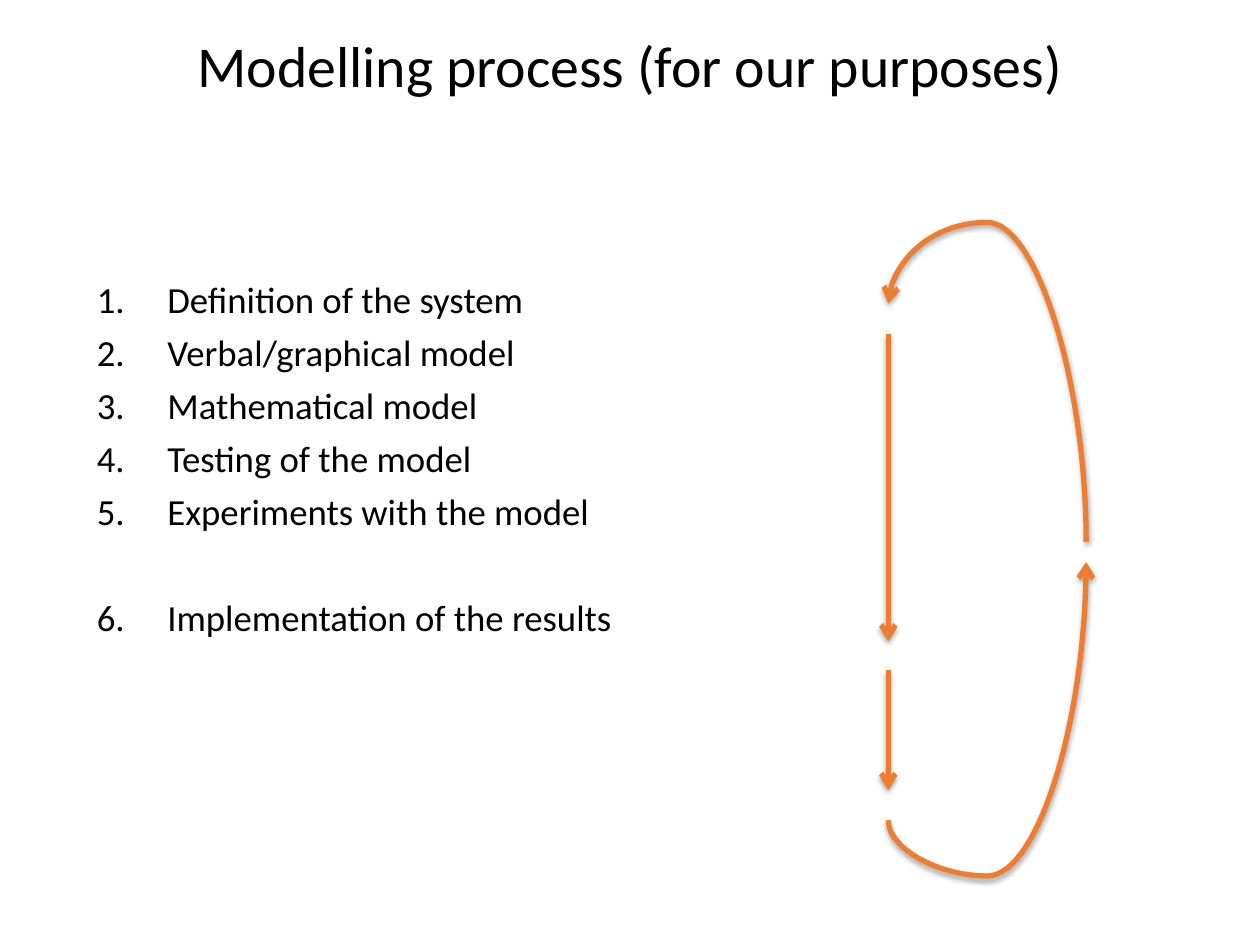
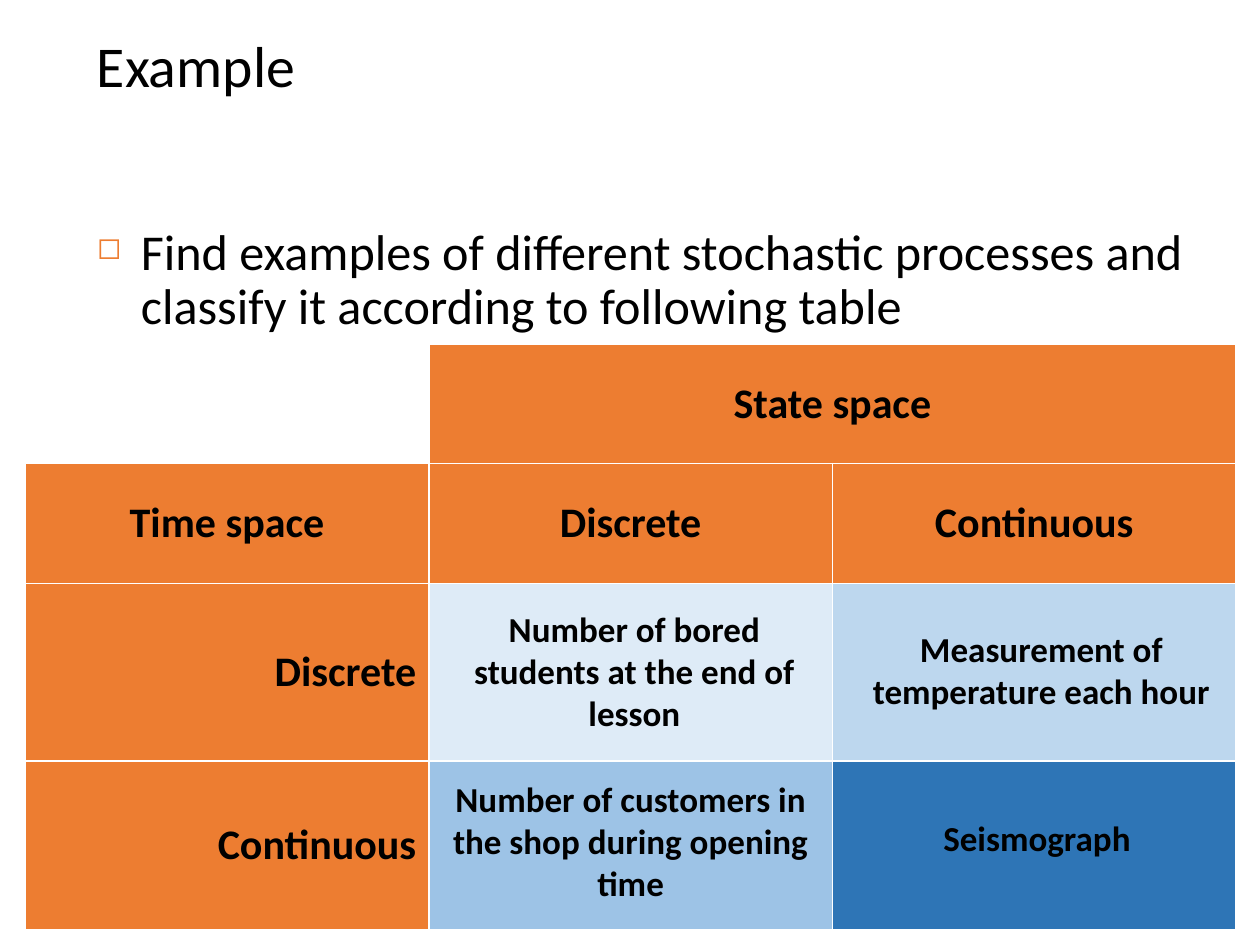
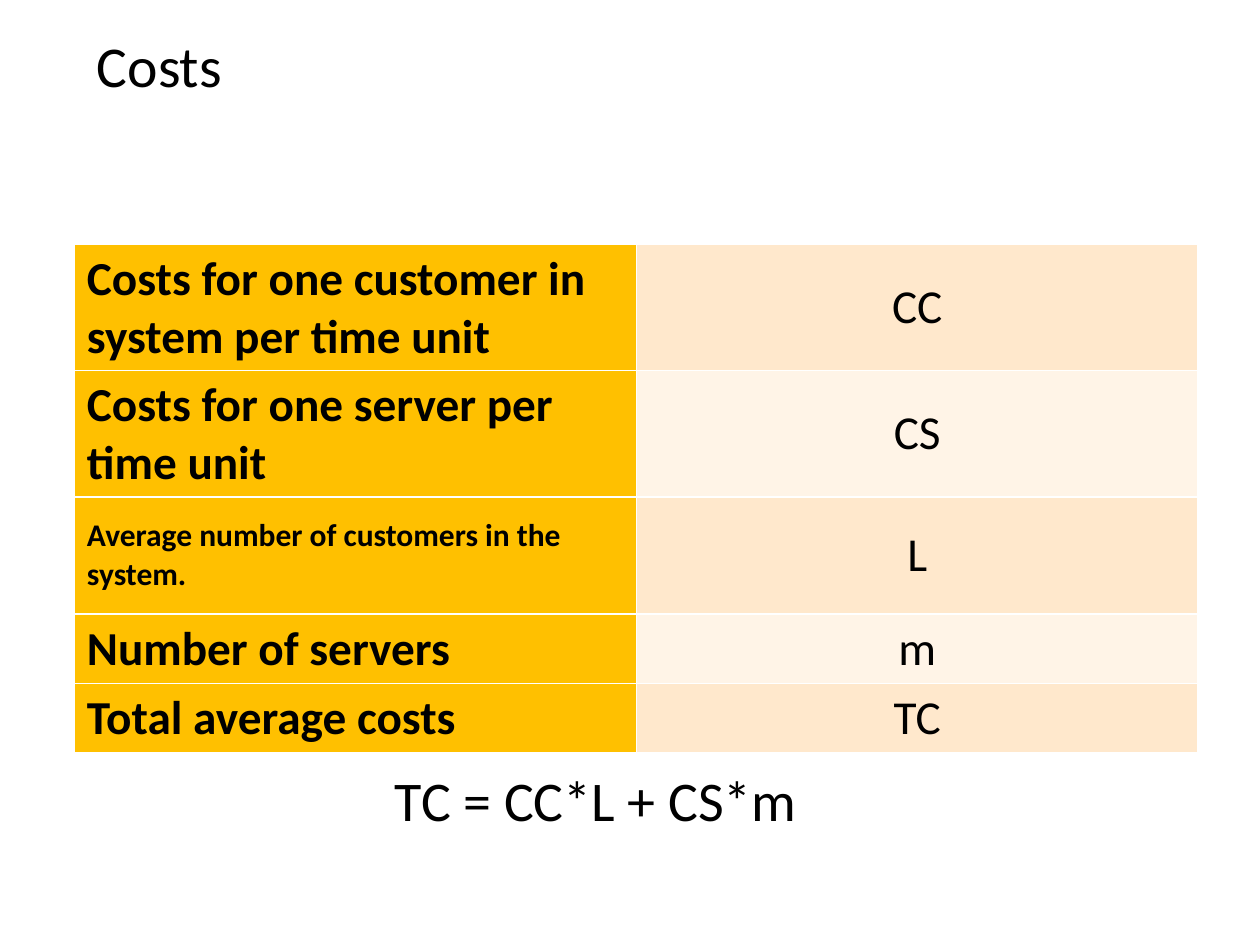
from dataclasses import dataclass
from typing import Optional

from lxml import etree
from pptx import Presentation
from pptx.dml.color import RGBColor
from pptx.enum.shapes import MSO_CONNECTOR
from pptx.enum.text import MSO_ANCHOR, PP_ALIGN
from pptx.oxml.ns import qn
from pptx.util import Inches, Pt

LEFT, CENTER, RIGHT = PP_ALIGN.LEFT, PP_ALIGN.CENTER, PP_ALIGN.RIGHT
MIDDLE = MSO_ANCHOR.MIDDLE
STRAIGHT, CURVE = MSO_CONNECTOR.STRAIGHT, MSO_CONNECTOR.CURVE

COLORS = {
    "text": "000000",
    "border": "FFFFFF",
    "orange": "ED7D31",
    "amber": "FFC000",
    "cream": "FFE8CC",
    "pale_cream": "FFF4E7",
    "blue1": "DEEBF7",
    "blue2": "BDD7EE",
    "blue3": "9DC3E6",
    "blue4": "2E75B6",
}
FONT = "Calibri"
WIDTH, HEIGHT = Inches(10), Inches(7.5)
COLUMN, ROW = WIDTH / 100, HEIGHT / 75
TIGHT = 0.9


@dataclass(frozen=True)
class Box:
    col: float
    row: float
    cols: float
    rows: float

    def emu(self) -> tuple[int, ...]:
        return (round(self.col * COLUMN), round(self.row * ROW),
                round(self.cols * COLUMN), round(self.rows * ROW))


@dataclass(frozen=True)
class Arrow:
    start: tuple[float, float]
    end: tuple[float, float]
    turn: int = 0
    bend: int = 0


@dataclass(frozen=True)
class Cell:
    text: str = ""
    fill: Optional[str] = None
    align: PP_ALIGN = CENTER
    size: float = 24
    bold: bool = True


@dataclass(frozen=True)
class Label:
    text: str
    box: Box


TITLE = Box(6.7, 2.5, 89.2, 10.8)
WIDE_TITLE = Box(0, 2.5, 100, 10.8)

STEPS = [
    "Definition of the system",
    "Verbal/graphical model",
    "Mathematical model",
    "Testing of the model",
    "Experiments with the model",
    "Implementation of the results",
]
STEP_GAP, LAST_STEP_GAP = 7.5, 38

AXIS, RETURN = 70.5, 86.2
ARROWS = [
    Arrow((AXIS, 26.5), (AXIS, 50.9)),
    Arrow((AXIS, 53.2), (AXIS, 62.7)),
    Arrow((AXIS, 65.1), (RETURN, 44.6), turn=1, bend=-21600),
    Arrow((RETURN, 43), (AXIS, 24.1), turn=-1, bend=134100),
]

PROCESS_CELLS = [
    [Cell(), Cell("State space", "orange"), Cell(fill="orange")],
    [Cell(t, "orange") for t in ("Time space", "Discrete", "Continuous")],
    [Cell("Discrete", "orange", RIGHT), Cell(fill="blue1"), Cell(fill="blue2")],
    [Cell("Continuous", "orange", RIGHT), Cell(fill="blue3"), Cell(fill="blue4")],
]
PROCESS_EXAMPLES = [
    Label("Number of bored students at the end of lesson", Box(35.8, 47.7, 29.1, 11.1)),
    Label("Measurement of temperature each hour", Box(68.1, 49.3, 29.1, 11.1)),
    Label("Number of customers in the shop during opening time",
          Box(34.3, 61.2, 31.5, 13.8)),
    Label("Seismograph", Box(68.9, 64.3, 26.8, 4.4)),
]

COSTS = [
    ("Costs for one customer in system per time unit", "CC", 27),
    ("Costs for one server per time unit", "CS", 27),
    ("Average number of customers in the system.", "L", 18),
    ("Number of servers", "m", 27),
    ("Total average costs", "TC", 27),
]


def rgb(name: str) -> RGBColor:
    return RGBColor.from_string(COLORS[name])


def add_xml(parent, tag: str, **attrs):
    return etree.SubElement(parent, qn(tag), attrs)


def add_color(parent, name: str):
    return add_xml(parent, "a:srgbClr", val=COLORS[name])


def write(tf, text: str, *, size: float, bold: bool = False, align: PP_ALIGN = LEFT,
          spacing: Optional[float] = None, before: float = 0, indent: float = 0,
          number: bool = False, bullet: str = "", new: bool = False) -> None:
    p = tf.add_paragraph() if new else tf.paragraphs[0]
    p.alignment = align
    if indent:
        pPr = p._p.get_or_add_pPr()
        margin = round(indent * COLUMN)
        pPr.set("marL", str(margin))
        pPr.set("indent", str(-margin))
        if number:
            add_xml(pPr, "a:buFont", typeface="+mj-lt")
            add_xml(pPr, "a:buAutoNum", type="arabicPeriod")
        if bullet:
            add_color(add_xml(pPr, "a:buClr"), "orange")
            add_xml(pPr, "a:buSzPct", val="60000")
            add_xml(pPr, "a:buChar", char=bullet)
    if spacing:
        p.line_spacing = spacing
    if before:
        p.space_before = Pt(before)
    r = p.add_run()
    r.text = text
    r.font.name = FONT
    r.font.size = Pt(size)
    r.font.bold = bold
    r.font.color.rgb = rgb("text")


def add_frame(s, box: Box):
    tf = s.shapes.add_textbox(*box.emu()).text_frame
    tf.word_wrap = True
    return tf


def add_slide(prs, title: str, box: Box = TITLE, align: PP_ALIGN = LEFT):
    s = prs.slides.add_slide(prs.slide_layouts[6])
    write(add_frame(s, box), title, size=33, align=align, spacing=TIGHT)
    return s


def add_arrow(s, arrow: Arrow) -> None:
    (x1, y1), (x2, y2) = arrow.start, arrow.end
    if arrow.turn:
        cx, cy = (x1 + x2) / 2, (y1 + y2) / 2
        dx, dy = arrow.turn * (y1 - cy), -arrow.turn * (x1 - cx)
        x1, y1, x2, y2 = cx + dx, cy + dy, cx - dx, cy - dy
    sp = s.shapes.add_connector(
        CURVE if arrow.turn else STRAIGHT,
        round(x1 * COLUMN), round(y1 * ROW), round(x2 * COLUMN), round(y2 * ROW))
    sp.line.color.rgb = rgb("orange")
    sp.line.width = Pt(3)
    spPr = sp._element.spPr
    add_xml(sp.line._get_or_add_ln(), "a:tailEnd", type="arrow")
    if arrow.turn:
        spPr.find(qn("a:xfrm")).set("rot", str(arrow.turn * 90 % 360 * 60000))
        guides = spPr.find(qn("a:prstGeom")).get_or_add_avLst()
        add_xml(guides, "a:gd", name="adj1", fmla=f"val {arrow.bend}")
    shadow = add_xml(add_xml(spPr, "a:effectLst"), "a:outerShdw",
                     blurRad=str(Pt(3.1)), dist=str(Pt(1.8)), dir="5400000",
                     rotWithShape="0")
    add_xml(add_color(shadow, "text"), "a:alpha", val="35000")


def add_grid(s, box: Box, heights: list[float], cells: list[list[Cell]]):
    table = s.shapes.add_table(len(cells), len(cells[0]), *box.emu()).table
    for row, height in zip(table.rows, heights):
        row.height = round(height * ROW)
    for i, line in enumerate(cells):
        for j, item in enumerate(line):
            cell = table.cell(i, j)
            tcPr = cell._tc.get_or_add_tcPr()
            for side in "LRTB":
                ln = add_xml(tcPr, f"a:ln{side}", w=str(Pt(1)))
                add_color(add_xml(ln, "a:solidFill"), "border")
            if item.fill:
                cell.fill.solid()
                cell.fill.fore_color.rgb = rgb(item.fill)
            else:
                cell.fill.background()
            cell.vertical_anchor = MIDDLE
            if item.text:
                write(cell.text_frame, item.text, size=item.size, bold=item.bold,
                      align=item.align)
    return table


def modelling_slide(prs) -> None:
    s = add_slide(prs, "Modelling process (for our purposes)", WIDE_TITLE, CENTER)
    tf = add_frame(s, Box(6.7, 21.9, 89.2, 44.8))
    for i, step in enumerate(STEPS):
        gap = LAST_STEP_GAP if step == STEPS[-1] else STEP_GAP
        write(tf, step, size=21, spacing=TIGHT, before=gap if i else 0, indent=5.6,
              number=True, new=i > 0)
    for arrow in ARROWS:
        add_arrow(s, arrow)


def example_slide(prs) -> None:
    s = add_slide(prs, "Example")
    table = add_grid(s, Box(2, 27.3, 96.1, 46.5), [9.5, 9.5, 14.1, 13.4], PROCESS_CELLS)
    table.cell(0, 1).merge(table.cell(0, 2))
    write(add_frame(s, Box(6.7, 17.5, 89.2, 9.8)),
          "Find examples of different stochastic processes and classify it "
          "according to following table",
          size=28.7, spacing=TIGHT, indent=3.5, bullet="◻")
    for label in PROCESS_EXAMPLES:
        write(add_frame(s, label.box), label.text, size=20, bold=True, align=CENTER)


def costs_slide(prs) -> None:
    s = add_slide(prs, "Costs")
    cells = [[Cell(name, "amber", LEFT, size),
              Cell(symbol, "pale_cream" if i % 2 else "cream", CENTER, 27, False)]
             for i, (name, symbol, size) in enumerate(COSTS)]
    add_grid(s, Box(5.9, 19.4, 89.2, 34.8), [9.3, 5.4, 9.3, 5.4, 5.4], cells)
    write(add_frame(s, Box(15.4, 60.3, 63.8, 6.4)), "TC = CC*L + CS*m",
          size=32, align=CENTER)


def main() -> None:
    prs = Presentation()
    prs.slide_width, prs.slide_height = WIDTH, HEIGHT
    modelling_slide(prs)
    example_slide(prs)
    costs_slide(prs)
    prs.save("out.pptx")


if __name__ == "__main__":
    main()
